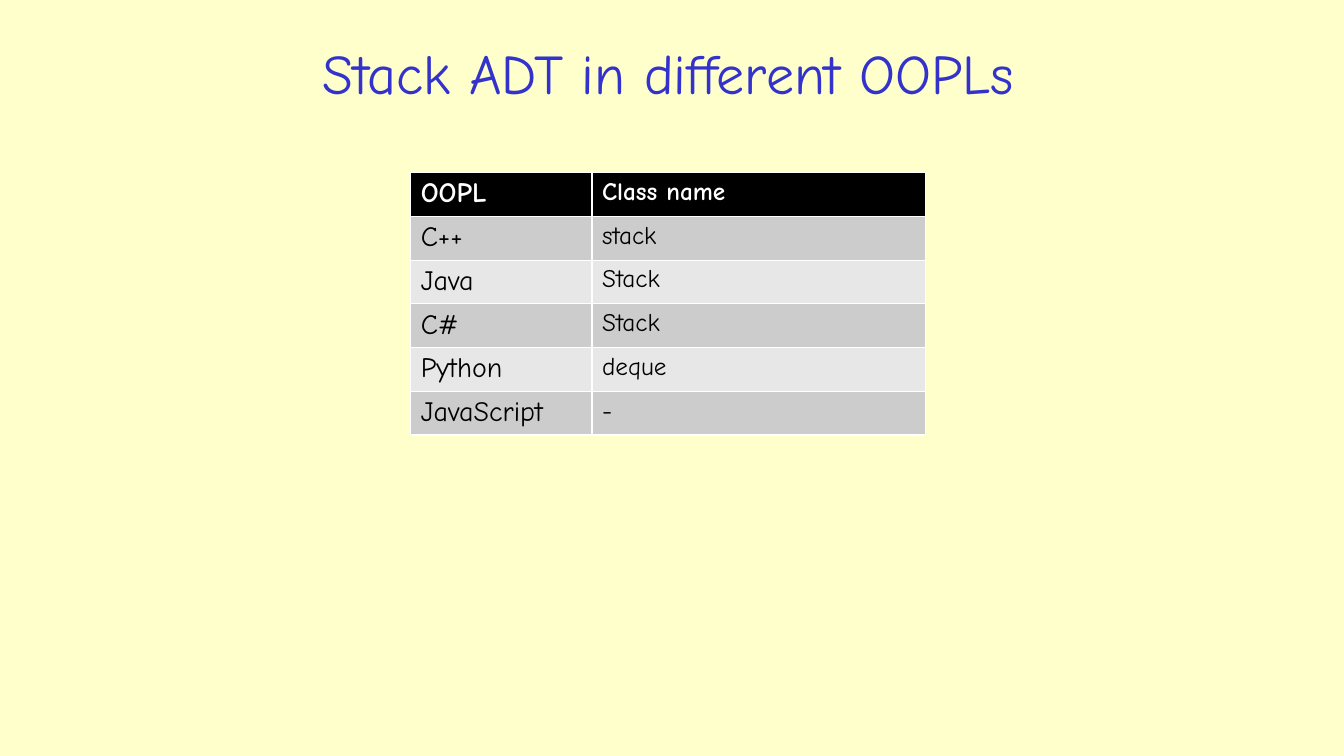
import pptx
import pptx.dml.color
import pptx.enum.text
import pptx.util
from pptx.util import Cm

COLORS = {
    "background": "FFFFCC",
    "title": "3333CC",
    "header": "000000",
    "odd_row": "CCCCCC",
    "even_row": "E7E7E7",
    "light": "FFFFFF",
    "dark": "000000",
}

LANGUAGES = [
    ("OOPL", "Class name"),
    ("C++", "stack"),
    ("Java", "Stack"),
    ("C#", "Stack"),
    ("Python", "deque"),
    ("JavaScript", "-"),
]


class SlideBuilder:
    """Holds the slide and its style, and adds each kind of element."""

    font_name = "Comic Neue"
    column_sizes = (20, 18)

    def __init__(self, slide):
        self.slide = slide

    def color(self, name):
        return pptx.dml.color.RGBColor.from_string(COLORS[name])

    def fill(self, target, color):
        target.fill.solid()
        target.fill.fore_color.rgb = self.color(color)

    def style(self, paragraph, size, color, bold=False):
        paragraph.font.name = self.font_name
        paragraph.font.size = pptx.util.Pt(size)
        paragraph.font.bold = bold
        paragraph.font.color.rgb = self.color(color)

    def title(self, text, left, top, width, height):
        shape = self.slide.shapes.add_textbox(left, top, width, height)
        frame = shape.text_frame
        frame.word_wrap = True
        frame.vertical_anchor = pptx.enum.text.MSO_ANCHOR.MIDDLE
        paragraph = frame.paragraphs[0]
        paragraph.text = text
        paragraph.alignment = pptx.enum.text.PP_ALIGN.CENTER
        self.style(paragraph, 40, "title")

    def cell(self, cell, text, row, size):
        header = row == 0
        paragraph = cell.text_frame.paragraphs[0]
        paragraph.text = text
        self.style(paragraph, size, "light" if header else "dark", header)
        self.fill(cell, "header" if header else "odd_row" if row % 2 else "even_row")

    def table(self, rows, left, top, column_widths, row_height):
        table = self.slide.shapes.add_table(
            len(rows), len(column_widths), left, top,
            sum(column_widths), row_height * len(rows)).table
        for column, width in zip(table.columns, column_widths):
            column.width = width
        for row, texts in enumerate(rows):
            table.rows[row].height = row_height
            for column, (text, size) in enumerate(zip(texts, self.column_sizes)):
                self.cell(table.cell(row, column), text, row, size)


def main():
    presentation = pptx.Presentation()
    presentation.slide_width = Cm(33.87)
    presentation.slide_height = Cm(19.05)
    slide = presentation.slides.add_slide(presentation.slide_layouts[6])
    builder = SlideBuilder(slide)
    builder.fill(slide.background, "background")
    builder.title("Stack ADT in different OOPLs", Cm(0.89), Cm(0.84), Cm(31.9), Cm(1.93))
    builder.table(LANGUAGES, Cm(10.35), Cm(4.35), (Cm(4.57), Cm(8.41)), Cm(1.04))
    presentation.save("out.pptx")


if __name__ == "__main__":
    main()
